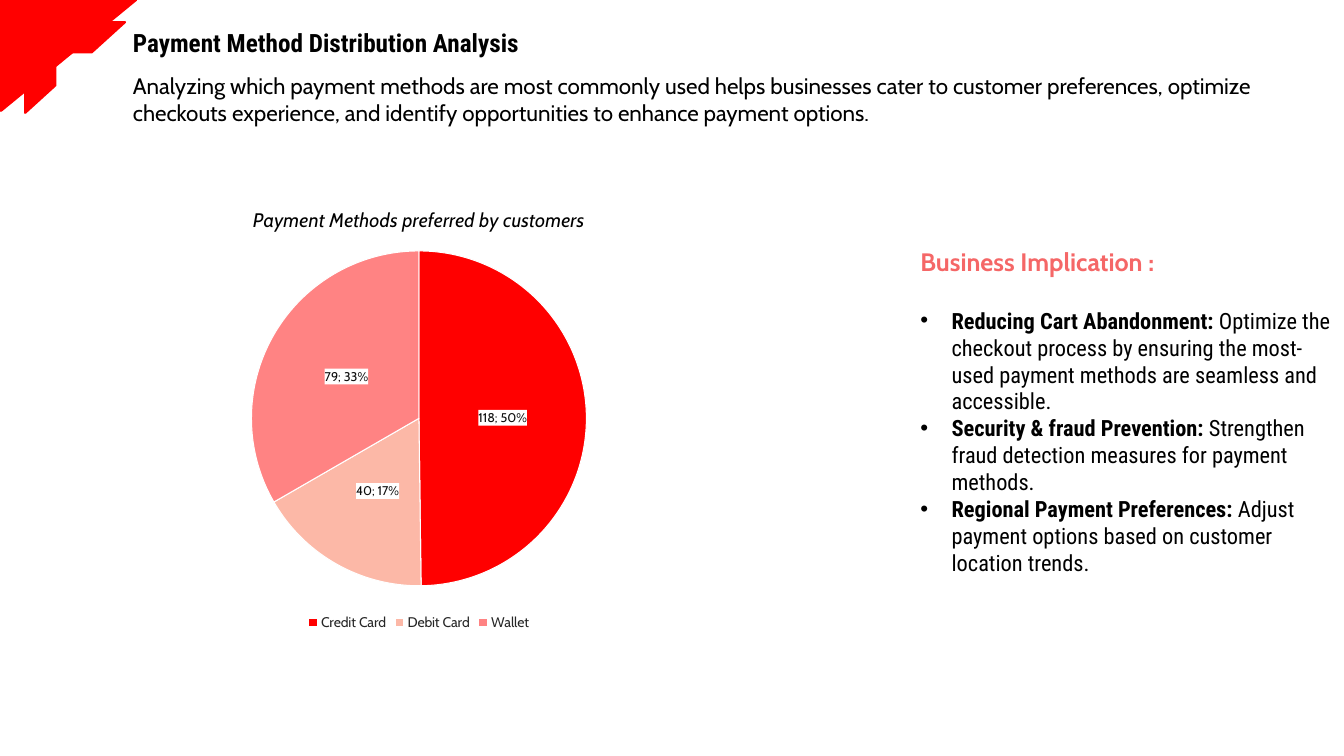
"""Build the payment method distribution slide."""
from lxml import etree
from pptx import Presentation
from pptx.chart.data import CategoryChartData
from pptx.dml.color import RGBColor
from pptx.enum.chart import XL_CHART_TYPE, XL_LABEL_POSITION as LabelPosition, XL_LEGEND_POSITION as LegendPosition
from pptx.enum.shapes import MSO_SHAPE as Preset
from pptx.oxml import parse_xml
from pptx.oxml.ns import nsdecls, qn
from pptx.util import Inches, Pt

THEME = {
    "red": "FF0000", "peach": "FCB8A7", "pink": "FF8383", "coral": "F56767",
    "black": "000000", "white": "FFFFFF", "legend": "262626", "label": "0D0D0D",
    "body_font": "Cabin", "heading_font": "Roboto Condensed",
    "heading": 18, "body": 16, "chart_title": 14, "chart": 10, "data_label": 9,
}


def style(font, size, color="black", name="body_font", **values):
    font.color.rgb = RGBColor.from_string(THEME[color])
    values |= {"size": Pt(THEME[size]), "name": THEME[name]}
    for attribute, value in values.items():
        setattr(font, attribute, value)


def add_text(slide, box, text, size, **values):
    frame = slide.shapes.add_textbox(*map(Inches, box)).text_frame
    frame.word_wrap = True
    run = frame.paragraphs[0].add_run()
    run.text = text
    style(run.font, size, **values)
    return frame


presentation = Presentation()
presentation.slide_width, presentation.slide_height = Inches(13.33), Inches(7.5)
slide = presentation.slides.add_slide(presentation.slide_layouts[6])

add_text(slide, (1.22, 0.22, 4.66, 0.71), "Payment Method Distribution Analysis",
         "heading", name="heading_font", bold=True)

corner_shapes = [
    (Preset.RIGHT_TRIANGLE, (0.13, -0.12, 1.1, 1.34), 90),
    (Preset.HALF_FRAME, (0.25, 0.22, 0.99, 0.9), 0),
]
for preset, box, rotation in corner_shapes:
    shape = slide.shapes.add_shape(preset, *map(Inches, box))
    shape.rotation = rotation
    shape.shadow.inherit = False
    shape.fill.solid()
    shape.line.width = Pt(1.5)
    for color in (shape.fill.fore_color, shape.line.color):
        color.rgb = RGBColor.from_string(THEME["red"])

implications = [
    ("Reducing Cart Abandonment:", " Optimize the checkout process by ensuring the "
     "most-used payment methods are seamless and accessible."),
    ("Security & fraud Prevention:", " Strengthen fraud detection measures for payment methods."),
    ("Regional Payment Preferences:", " Adjust payment options based on customer location trends."),
]
frame = add_text(slide, (9.03, 2.39, 4.31, 3.4), "Business Implication :", "heading",
                 color="coral", bold=True)
frame.paragraphs[0].space_after = Pt(22)
for lead, detail in implications:
    paragraph = frame.add_paragraph()
    properties = paragraph._p.get_or_add_pPr()
    properties.set("marL", str(Inches(0.31)))
    properties.set("indent", str(Inches(-0.31)))
    etree.SubElement(properties, qn("a:buFont"), typeface="Arial")
    etree.SubElement(properties, qn("a:buChar"), char="•")
    for text, bold in ((lead, True), (detail, False)):
        run = paragraph.add_run()
        run.text = text
        style(run.font, "body", name="heading_font", bold=bold)

add_text(slide, (1.22, 0.67, 11.82, 0.64),
         "Analyzing which payment methods are most commonly used helps businesses cater to "
         "customer preferences, optimize checkouts experience, and identify opportunities "
         "to enhance payment options.", "body")

payments = {"Credit Card": (118, "red"), "Debit Card": (40, "peach"), "Wallet": (79, "pink")}
chart_data = CategoryChartData()
chart_data.categories = list(payments)
chart_data.add_series("Series 1", [count for count, color in payments.values()])
chart_box = map(Inches, (0.49, 1.87, 7.33, 4.43))
chart = slide.shapes.add_chart(XL_CHART_TYPE.PIE, *chart_box, chart_data).chart
style(chart.font, "chart")

chart.has_title = True
title = chart.chart_title.text_frame.paragraphs[0].add_run()
title.text = "Payment Methods preferred by customers"
style(title.font, "chart_title", bold=False, italic=True)
chart.chart_title.include_in_layout = False

chart.has_legend = True
chart.legend.position = LegendPosition.BOTTOM
chart.legend.include_in_layout = False
style(chart.legend.font, "chart", color="legend")

plot = chart.plots[0]
plot.vary_by_categories = True
for index, (count, color) in enumerate(payments.values()):
    slice_format = plot.series[0].points[index].format
    slice_format.fill.solid()
    slice_format.fill.fore_color.rgb = RGBColor.from_string(THEME[color])
    slice_format.line.color.rgb = RGBColor.from_string(THEME["white"])
    slice_format.line.width = Pt(0.75)

labels = plot.series[0].data_labels
label_values = {"show_value": True, "show_percentage": True, "position": LabelPosition.CENTER}
for attribute, value in label_values.items():
    setattr(labels, attribute, value)
style(labels.font, "data_label", color="label")
labels_xml = labels._element
labels_xml.find(qn("c:txPr")).addprevious(parse_xml(
    f'<c:spPr {nsdecls("c", "a")}><a:solidFill><a:srgbClr val="{THEME["white"]}"/></a:solidFill></c:spPr>'))
labels_xml.find(qn("c:showBubbleSize")).addnext(
    parse_xml(f'<c:separator {nsdecls("c")}>; </c:separator>'))

plot_area = chart._chartSpace.chart.plotArea
for old_layout in plot_area.findall(qn("c:layout")):
    plot_area.remove(old_layout)
layout = etree.Element(qn("c:layout"))
manual = etree.SubElement(layout, qn("c:manualLayout"))
pie_layout = {"layoutTarget": "inner", "xMode": "edge", "yMode": "edge",
              "x": 0.27, "y": 0.14, "w": 0.46, "h": 0.75}
for tag, value in pie_layout.items():
    etree.SubElement(manual, qn(f"c:{tag}"), val=str(value))
plot_area.insert(0, layout)

presentation.save("out.pptx")
